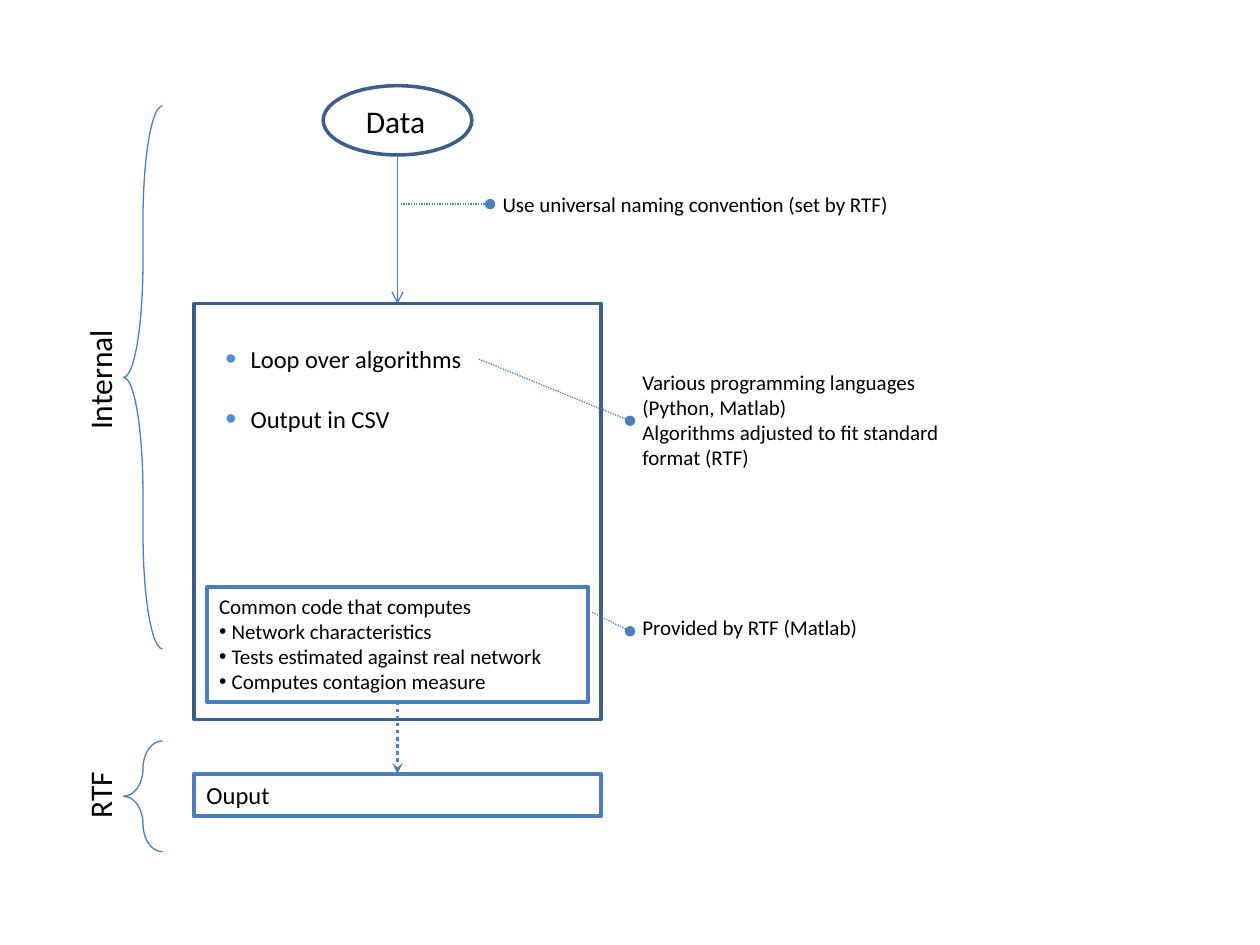
from pptx import Presentation
from pptx.dml.color import RGBColor
from pptx.enum.dml import MSO_LINE
from pptx.enum.shapes import MSO_CONNECTOR, MSO_SHAPE
from pptx.enum.text import MSO_ANCHOR, PP_ALIGN
from pptx.oxml.ns import qn
from pptx.util import Inches, Pt
from lxml.etree import SubElement

INK = {"text": "000000", "blue": "4B7EBC", "dark": "3A5F8C", "dot": "558ED5"}
FONT = "Calibri"

# Main column: left edge, width and centre, shared by the flow
LEFT, WIDE = 1.54, 3.23
MID = LEFT + WIDE / 2
DATA = (0.68, 0.55)
LOOP = (2.41, 3.3)
CODE = (4.66, 0.91)
OUT = (6.14, 0.34)
PAD = 0.1
NOTE = 5

STEPS = ["Loop over algorithms", "Output in CSV"]
TASKS = ["Network characteristics", "Tests estimated against real network",
         "Computes contagion measure"]
# Notes: left, top, width, height, lines
NOTES = [
    (3.89, 1.47, 3.29, 0.3, ["Use universal naming convention (set by RTF)"]),
    (NOTE, 2.88, 2.76, 0.91, ["Various programming languages (Python, Matlab)",
                              "Algorithms adjusted to fit standard format (RTF)"]),
    (NOTE, 4.83, 2.68, 0.3, ["Provided by RTF (Matlab)"]),
]
# Leaders: from x, y to x, y
LEADS = [(3.18, 1.62, 3.89, 1.62), (3.8, 2.85, NOTE, 3.34), (4.7, 4.86, NOTE, 5.01)]
# Stages: name, brace top, brace height, label centre x and y, label width
STAGES = [("Internal", 0.84, 4.31, 0.79, 3.01, 1), ("RTF", 5.88, 0.88, 0.79, 6.31, 0.57)]


def color(name):
    return RGBColor.from_string(INK[name])


def bullet(para, gap, tint=None, size=100):
    """Hang a round bullet before the paragraph."""
    props = para._p.get_or_add_pPr()
    props.set("marL", str(Inches(gap)))
    props.set("indent", str(-Inches(gap)))
    if tint:
        fill = SubElement(props, qn("a:buClr"))
        SubElement(fill, qn("a:srgbClr")).set("val", INK[tint])
    SubElement(props, qn("a:buSzPct")).set("val", str(size * 1000))
    SubElement(props, qn("a:buFont")).set("typeface", "Arial")
    SubElement(props, qn("a:buChar")).set("char", "•")


def write(shape, lines, size, wrap=True, anchor=MSO_ANCHOR.TOP):
    """Fill the shape with left-aligned lines; return its paragraphs."""
    frame = shape.text_frame
    frame.word_wrap = wrap
    frame.vertical_anchor = anchor
    frame.text = "\n".join(lines)
    for para in frame.paragraphs:
        para.alignment = PP_ALIGN.LEFT
    return frame.paragraphs, size


def style(paras, size):
    for para in paras:
        para.font.name = FONT
        para.font.size = Pt(size)
        para.font.color.rgb = color("text")


def label(slide, box, lines, size, wrap=False):
    shape = slide.shapes.add_textbox(*map(Inches, box))
    style(*write(shape, lines, size, wrap))
    return shape


def draw(slide, kind, box, ink, width):
    shape = slide.shapes.add_shape(kind, *map(Inches, box))
    shape.shadow.inherit = False
    shape.fill.background()
    shape.line.color.rgb = color(ink)
    shape.line.width = Pt(width)
    return shape


def link(slide, ends, tip, width=0.75, dots=True):
    line = slide.shapes.add_connector(MSO_CONNECTOR.STRAIGHT, *map(Inches, ends))
    line.line.color.rgb = color("blue")
    line.line.width = Pt(width)
    if dots:
        line.line.dash_style = MSO_LINE.ROUND_DOT
    SubElement(line.line._get_or_add_ln(), qn("a:tailEnd")).set("type", tip)
    SubElement(line._element.spPr, qn("a:effectLst"))


def flow(slide):
    top, high = DATA
    draw(slide, MSO_SHAPE.OVAL, (MID - 0.59, top, 1.18, high), "dark", 2)
    label(slide, (MID - 0.35, top + 0.08, 0.68, 0.4), ["Data"], 18)
    draw(slide, MSO_SHAPE.RECTANGLE, (LEFT, LOOP[0], WIDE, LOOP[1]), "dark", 2)
    for row, step in enumerate(STEPS):
        box = slide.shapes.add_textbox(
            *map(Inches, (1.69, 2.65 + 0.47 * row, 2.11, 0.4)))
        paras, size = write(box, [step], 14, False, MSO_ANCHOR.MIDDLE)
        bullet(paras[0], 0.2, "dot", 129)
        style(paras, size)
    code = draw(slide, MSO_SHAPE.RECTANGLE,
                (LEFT + PAD, CODE[0], WIDE - 2 * PAD, CODE[1]), "blue", 2.25)
    paras, size = write(code, ["Common code that computes"] + TASKS, 12)
    for para in paras[1:]:
        bullet(para, 0.1)
    style(paras, size)
    out = draw(slide, MSO_SHAPE.RECTANGLE, (LEFT, OUT[0], WIDE, OUT[1]), "blue", 2.25)
    style(*write(out, ["Ouput"], 14, anchor=MSO_ANCHOR.MIDDLE))
    link(slide, (MID, top + high, MID, LOOP[0]), "arrow", dots=False)
    link(slide, (MID, sum(CODE), MID, OUT[0]), "stealth", 2)


def main():
    deck = Presentation()
    deck.slide_width, deck.slide_height = Inches(10), Inches(7.5)
    slide = deck.slides.add_slide(deck.slide_layouts[6])
    flow(slide)
    for *box, lines in NOTES:
        label(slide, box, lines, 12, wrap=True)
    for ends in LEADS:
        link(slide, ends, "oval")
    for name, top, high, x, y, wide in STAGES:
        brace = draw(slide, MSO_SHAPE.LEFT_BRACE, (0.98, top, 0.31, high), "blue", 0.75)
        brace.adjustments[0] = 2.96
        text = label(slide, (x - wide / 2, y - 0.2, wide, 0.4), [name], 18)
        text.rotation = 270
    deck.save("out.pptx")


if __name__ == "__main__":
    main()
